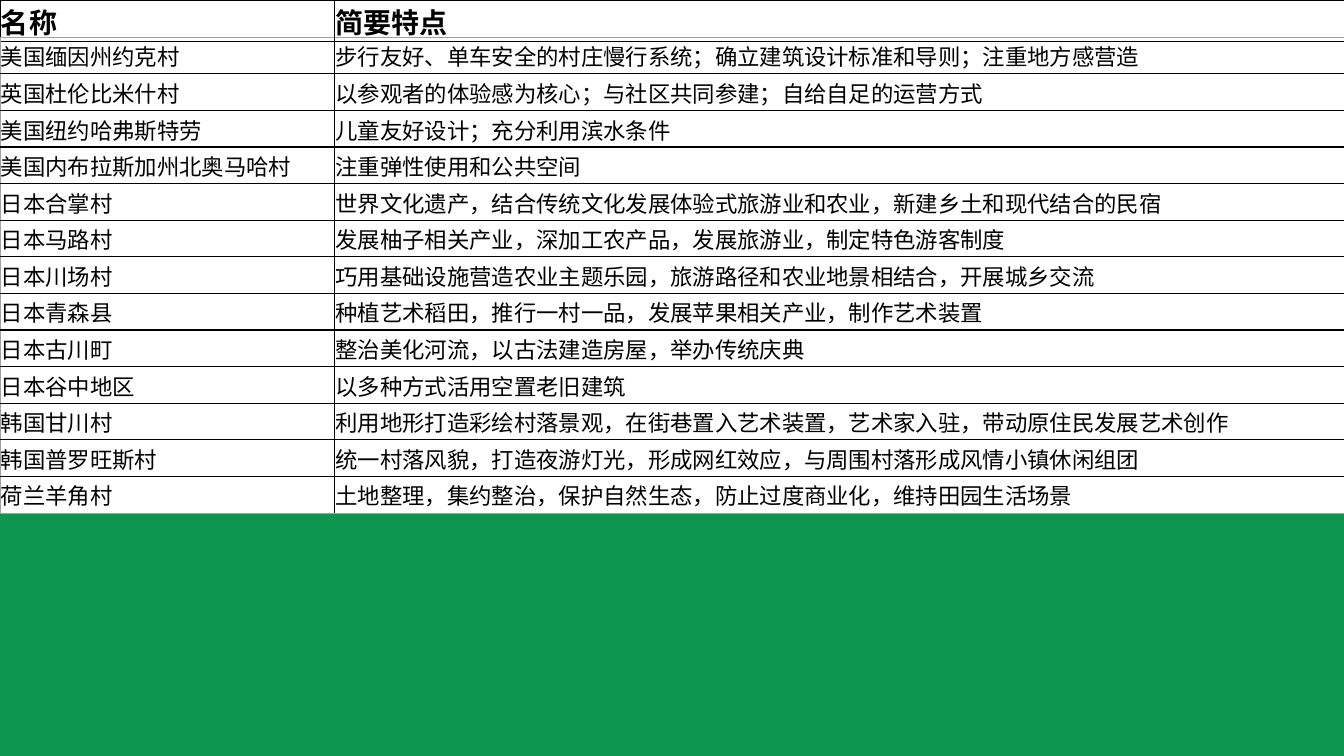
import lxml.etree
import pptx
import pptx.dml.color
import pptx.enum.shapes
import pptx.enum.text
import pptx.oxml.ns
import pptx.util

BLACK = pptx.dml.color.RGBColor(0x00, 0x00, 0x00)
GREY = pptx.dml.color.RGBColor(0xA0, 0xA0, 0xA0)
GREEN = pptx.dml.color.RGBColor(0x0D, 0x96, 0x4F)

HEADINGS = [("名称", "简要特点")]
VILLAGES = [
    ("美国缅因州约克村", "步行友好、单车安全的村庄慢行系统；确立建筑设计标准和导则；注重地方感营造"),
    ("英国杜伦比米什村", "以参观者的体验感为核心；与社区共同参建；自给自足的运营方式"),
    ("美国纽约哈弗斯特劳", "儿童友好设计；充分利用滨水条件"),
    ("美国内布拉斯加州北奥马哈村", "注重弹性使用和公共空间"),
    ("日本合掌村", "世界文化遗产，结合传统文化发展体验式旅游业和农业，新建乡土和现代结合的民宿"),
    ("日本马路村", "发展柚子相关产业，深加工农产品，发展旅游业，制定特色游客制度"),
    ("日本川场村", "巧用基础设施营造农业主题乐园，旅游路径和农业地景相结合，开展城乡交流"),
    ("日本青森县", "种植艺术稻田，推行一村一品，发展苹果相关产业，制作艺术装置"),
    ("日本古川町", "整治美化河流，以古法建造房屋，举办传统庆典"),
    ("日本谷中地区", "以多种方式活用空置老旧建筑"),
    ("韩国甘川村", "利用地形打造彩绘村落景观，在街巷置入艺术装置，艺术家入驻，带动原住民发展艺术创作"),
    ("韩国普罗旺斯村", "统一村落风貌，打造夜游灯光，形成网红效应，与周围村落形成风情小镇休闲组团"),
    ("荷兰羊角村", "土地整理，集约整治，保护自然生态，防止过度商业化，维持田园生活场景"),
]

# Shares of the slide's size
NAME_SHARE = 0.249
HEADING_SHARE = 0.37 / 7.5
VILLAGES_SHARE = 4.72 / 7.5
BAND_TOP = 0.68


def write_text(frame, text, font="Noto Sans CJK SC", size=16, color=BLACK, bold=False):
    span = frame.paragraphs[0].add_run()
    span.text = text
    span.font.name = font
    span.font.size = pptx.util.Pt(size)
    span.font.color.rgb = color
    span.font.bold = bold
    east_asian = lxml.etree.SubElement(span.font._element, pptx.oxml.ns.qn("a:ea"))
    east_asian.set("typeface", font)


def draw_borders(cell, borders):
    """Draw left, right, top and bottom borders, each a (points, colour) pair."""
    properties = cell._tc.get_or_add_tcPr()
    for index, (side, (width, color)) in enumerate(zip("LRTB", borders)):
        line = lxml.etree.Element(pptx.oxml.ns.qn("a:ln" + side))
        line.set("w", str(int(pptx.util.Pt(width))))
        fill = lxml.etree.SubElement(line, pptx.oxml.ns.qn("a:solidFill"))
        lxml.etree.SubElement(fill, pptx.oxml.ns.qn("a:srgbClr")).set("val", str(color))
        properties.insert(index, line)


class VillagePage:
    def __init__(self, deck):
        self.width = deck.slide_width
        self.height = deck.slide_height
        self.page = deck.slides.add_slide(deck.slide_layouts[6])

    def add_table(self, rows, top, height, inner, outer, **text_format):
        """Add a full-width table; top and height are shares of the slide's height."""
        box = self.page.shapes.add_table(
            len(rows), 2, 0, int(top * self.height), self.width, int(height * self.height))
        table = box.table
        table.first_row = table.horz_banding = False
        table.columns[0].width = int(NAME_SHARE * self.width)
        table.columns[1].width = self.width - table.columns[0].width
        last = len(rows) - 1
        for r, row in enumerate(rows):
            for c, text in enumerate(row):
                cell = table.cell(r, c)
                cell.margin_left = cell.margin_right = cell.margin_top = pptx.util.Inches(0.01)
                cell.margin_bottom = 0
                cell.vertical_anchor = pptx.enum.text.MSO_ANCHOR.MIDDLE
                cell.fill.background()
                at_edge = (c == 0, c == 1, r == 0, r == last)
                draw_borders(cell, [outer if edge else inner for edge in at_edge])
                write_text(cell.text_frame, text, **text_format)

    def add_band(self, top, color):
        """Fill the slide with colour from the given share of its height down."""
        start = int(top * self.height)
        band = self.page.shapes.add_shape(
            pptx.enum.shapes.MSO_SHAPE.RECTANGLE, 0, start, self.width, self.height - start)
        band.shadow.inherit = False
        band.fill.solid()
        band.fill.fore_color.rgb = color
        band.line.fill.background()


def main():
    deck = pptx.Presentation()
    deck.slide_width = pptx.util.Inches(13.33)
    deck.slide_height = pptx.util.Inches(7.5)
    page = VillagePage(deck)
    page.add_table(HEADINGS, 0, HEADING_SHARE, (0.5, BLACK), (0.5, BLACK), size=20, bold=True)
    page.add_table(VILLAGES, HEADING_SHARE, VILLAGES_SHARE, (1, BLACK), (0.25, GREY))
    page.add_band(BAND_TOP, GREEN)
    deck.save("out.pptx")


if __name__ == "__main__":
    main()
